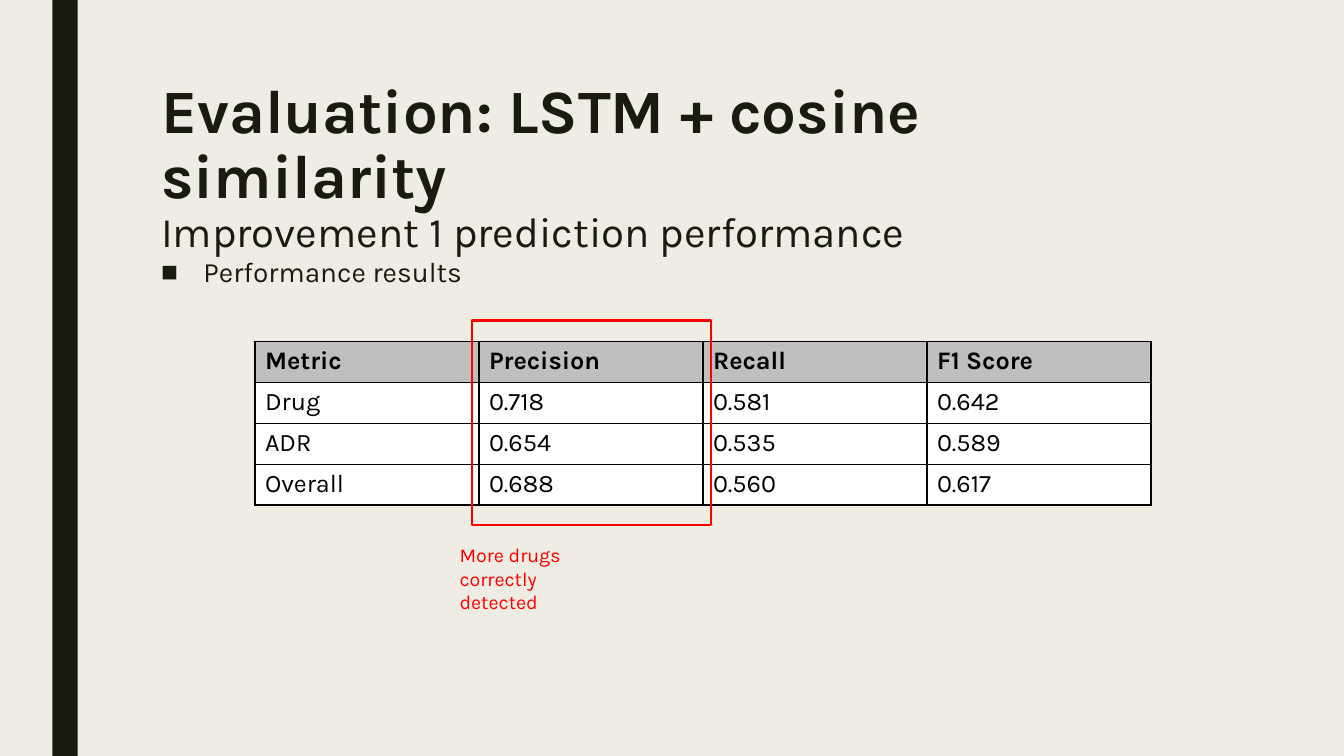
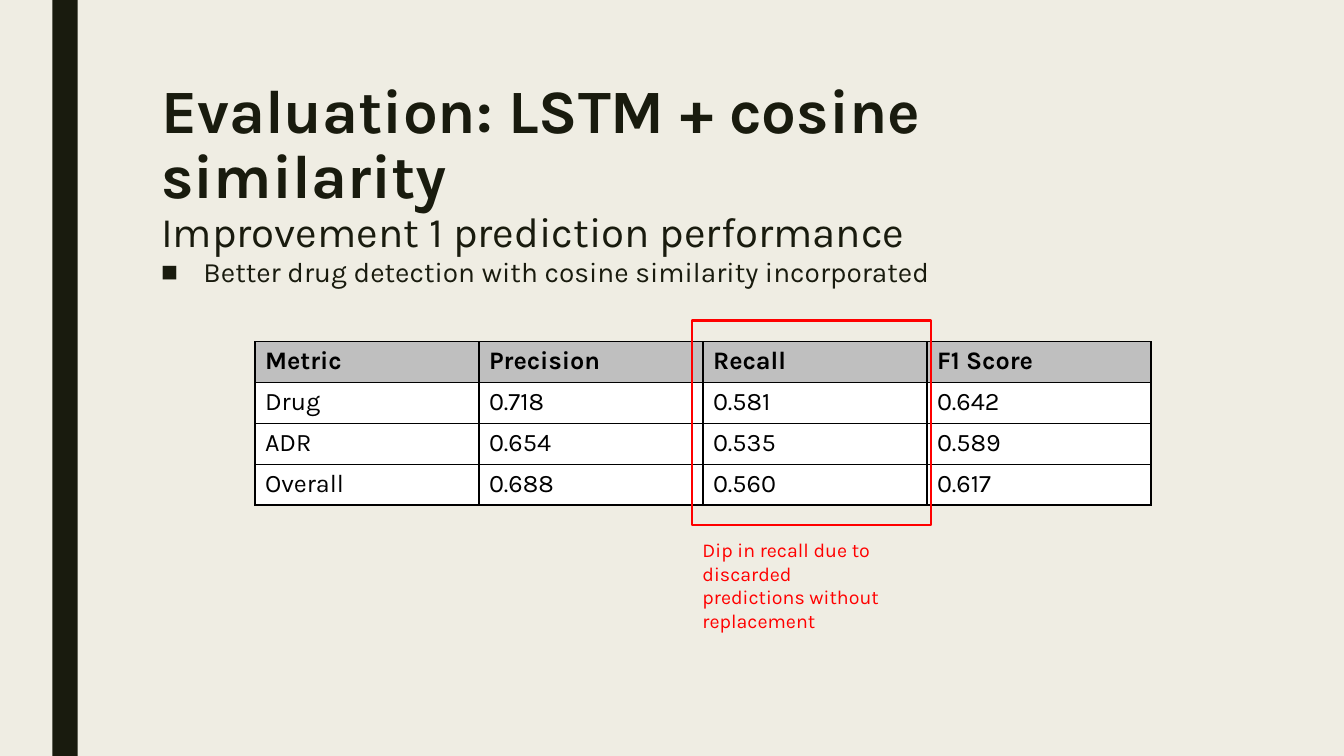
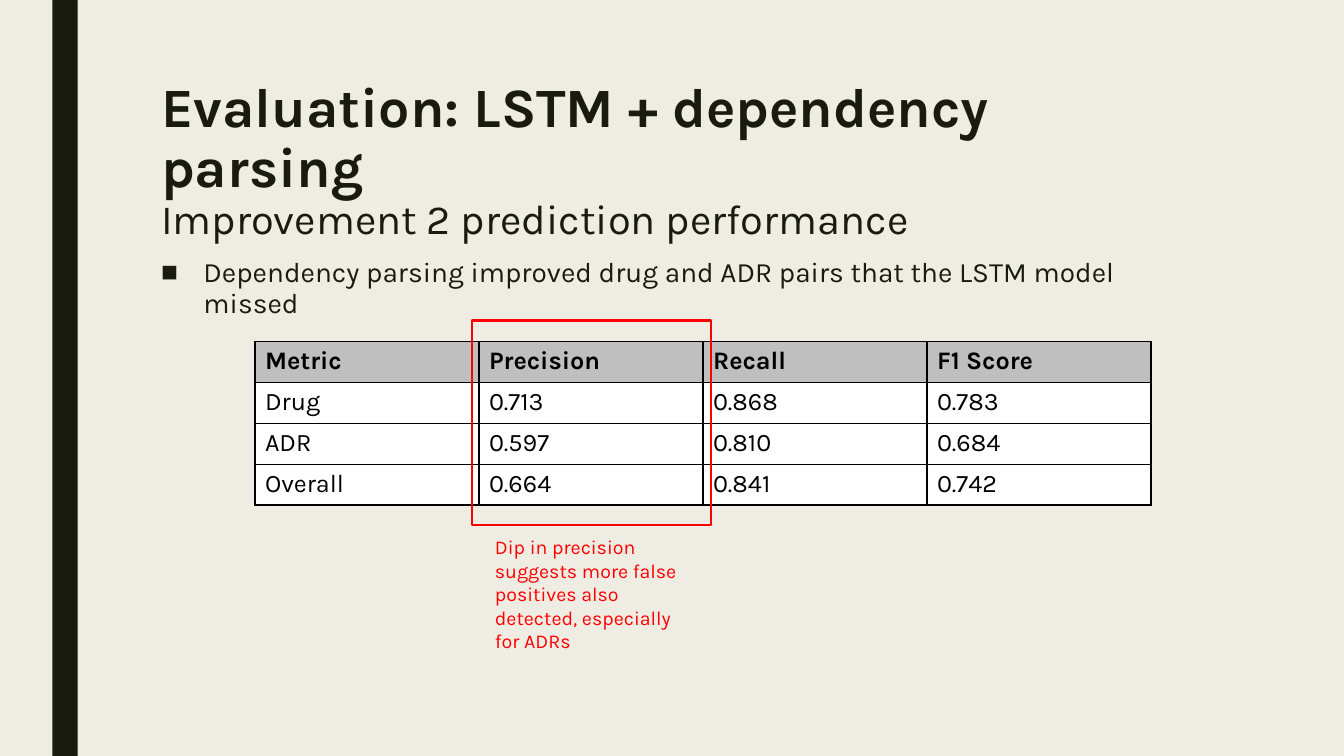
from dataclasses import dataclass

from lxml.etree import SubElement
from pptx import Presentation
from pptx.dml.color import RGBColor
from pptx.enum.shapes import MSO_SHAPE
from pptx.enum.text import MSO_ANCHOR, MSO_AUTO_SIZE
from pptx.oxml import parse_xml
from pptx.oxml.ns import nsdecls, qn
from pptx.util import Inches, Pt

WIDTH, HEIGHT = Inches(13.33), Inches(7.5)


# Colours and type sizes
@dataclass(frozen=True)
class Theme:
    font: str = "Karla"
    paper: str = "EFEDE3"
    ink: str = "191B0E"
    black: str = "000000"
    white: str = "FFFFFF"
    header: str = "BFBFBF"
    accent: str = "FF0000"
    title_size: float = 44
    long_title_size: float = 39.6
    subtitle_size: float = 30
    long_subtitle_size: float = 29.7
    body_size: float = 20
    table_size: float = 18
    note_size: float = 14
    border: float = 1
    highlight_line: float = 1.5


THEME = Theme()

# Places as left, top, width, height in percent of the slide
BAND = (3.9, 0, 1.88, 100)
TITLE = (11.25, 10, 78.75, 21.6)
BODY = (11.25, 33.33, 78.75, 52.27)
TABLE = (18.97, 45.2, 66.67, 21.6)
HIGHLIGHT = (35.1, 42.4, 17.78, 27.07)
HIGHLIGHT_STEP = 16.42

HEADER = ("Metric", "Precision", "Recall", "F1 Score")
COSINE_SCORES = (
    ("Drug", "0.718", "0.581", "0.642"),
    ("ADR", "0.654", "0.535", "0.589"),
    ("Overall", "0.688", "0.560", "0.617"),
)
DEPENDENCY_SCORES = (
    ("Drug", "0.713", "0.868", "0.783"),
    ("ADR", "0.597", "0.810", "0.684"),
    ("Overall", "0.664", "0.841", "0.742"),
)


def place(box):
    """Turn percentages of the slide into lengths."""
    return [int(share * side / 100)
            for share, side in zip(box, (WIDTH, HEIGHT, WIDTH, HEIGHT))]


def apply_format(target, values):
    for name, value in values.items():
        setattr(target, name, value)


def set_font(font, size, color, bold=False):
    apply_format(font, {"name": THEME.font, "size": Pt(size), "bold": bold})
    font.color.rgb = RGBColor.from_string(color)


def paint(fill, color):
    fill.solid()
    fill.fore_color.rgb = RGBColor.from_string(color)


# Text elements
def add_text_box(slide, box, auto_size=MSO_AUTO_SIZE.NONE):
    frame = slide.shapes.add_textbox(*place(box)).text_frame
    apply_format(frame, {"word_wrap": True, "auto_size": auto_size,
                         "vertical_anchor": MSO_ANCHOR.TOP})
    return frame.paragraphs[0]


def add_run(paragraph, text, size, color, bold=False):
    run = paragraph.add_run()
    run.text = text
    set_font(run.font, size, color, bold)


def add_title(slide, title, subtitle, title_size, subtitle_size):
    paragraph = add_text_box(slide, TITLE)
    paragraph.line_spacing = 0.89
    add_run(paragraph, title, title_size, THEME.ink, bold=True)
    paragraph.add_line_break()
    add_run(paragraph, subtitle, subtitle_size, THEME.ink)


def add_bullet(slide, text):
    paragraph = add_text_box(slide, BODY)
    apply_format(paragraph, {"line_spacing": 0.94, "space_after": Pt(2)})
    properties = paragraph._p.get_or_add_pPr()
    properties.set("marL", str(Inches(0.42)))
    properties.set("indent", str(-Inches(0.42)))
    SubElement(properties, qn("a:buFont")).set("typeface", "Arial")
    SubElement(properties, qn("a:buChar")).set("char", "■")
    add_run(paragraph, text, THEME.body_size, THEME.ink)


def add_note(slide, text, box):
    paragraph = add_text_box(slide, box, MSO_AUTO_SIZE.SHAPE_TO_FIT_TEXT)
    add_run(paragraph, text, THEME.note_size, THEME.accent)


# Shapes
def add_rectangle(slide, box):
    shape = slide.shapes.add_shape(MSO_SHAPE.RECTANGLE, *place(box))
    shape.shadow.inherit = False
    return shape


def add_band(slide):
    band = add_rectangle(slide, BAND)
    paint(band.fill, THEME.ink)
    band.line.fill.background()


def add_highlight(slide, column):
    left, top, width, height = HIGHLIGHT
    left += (column - 1) * HIGHLIGHT_STEP
    highlight = add_rectangle(slide, (left, top, width, height))
    highlight.fill.background()
    paint(highlight.line.fill, THEME.accent)
    highlight.line.width = Pt(THEME.highlight_line)


# Table
def add_borders(cell):
    properties = cell._tc.get_or_add_tcPr()
    for index, side in enumerate(("lnL", "lnR", "lnT", "lnB")):
        properties.insert(index, parse_xml(
            f'<a:{side} {nsdecls("a")} w="{Pt(THEME.border)}"><a:solidFill>'
            f'<a:srgbClr val="{THEME.black}"/></a:solidFill></a:{side}>'))


def add_score_table(slide, scores):
    rows = (HEADER, *scores)
    table = slide.shapes.add_table(len(rows), len(HEADER), *place(TABLE)).table
    for row_index, row in enumerate(rows):
        is_header = row_index == 0
        for column_index, text in enumerate(row):
            cell = table.cell(row_index, column_index)
            paint(cell.fill, THEME.header if is_header else THEME.white)
            add_borders(cell)
            add_run(cell.text_frame.paragraphs[0], text,
                    THEME.table_size, THEME.black, is_header)


# Whole slide
def add_evaluation_slide(presentation, title, subtitle, bullet, scores,
                         column, note, note_box,
                         title_size=THEME.title_size,
                         subtitle_size=THEME.subtitle_size):
    slide = presentation.slides.add_slide(presentation.slide_layouts[6])
    add_band(slide)
    add_title(slide, title, subtitle, title_size, subtitle_size)
    add_bullet(slide, bullet)
    add_score_table(slide, scores)
    add_highlight(slide, column)
    add_note(slide, note, note_box)


def main():
    presentation = Presentation()
    apply_format(presentation, {"slide_width": WIDTH, "slide_height": HEIGHT})
    paint(presentation.slide_master.background.fill, THEME.paper)

    cosine = {
        "title": "Evaluation: LSTM + cosine similarity",
        "subtitle": "Improvement 1 prediction performance",
        "scores": COSINE_SCORES,
    }
    add_evaluation_slide(
        presentation, **cosine,
        bullet="Performance results",
        column=HEADER.index("Precision"),
        note="More drugs correctly detected",
        note_box=(33.45, 71.2, 12.97, 7.6))
    add_evaluation_slide(
        presentation, **cosine,
        bullet="Better drug detection with cosine similarity incorporated",
        column=HEADER.index("Recall"),
        note="Dip in recall due to discarded predictions without replacement",
        note_box=(51.53, 70.53, 15.68, 10.8))
    add_evaluation_slide(
        presentation,
        title="Evaluation: LSTM + dependency parsing",
        subtitle="Improvement 2 prediction performance",
        bullet="Dependency parsing improved drug and ADR pairs "
               "that the LSTM model missed",
        scores=DEPENDENCY_SCORES,
        column=HEADER.index("Precision"),
        note="Dip in precision suggests more false positives also detected, "
             "especially for ADRs",
        note_box=(36.08, 70.13, 15.68, 17.07),
        title_size=THEME.long_title_size,
        subtitle_size=THEME.long_subtitle_size)

    presentation.save("out.pptx")


if __name__ == "__main__":
    main()
